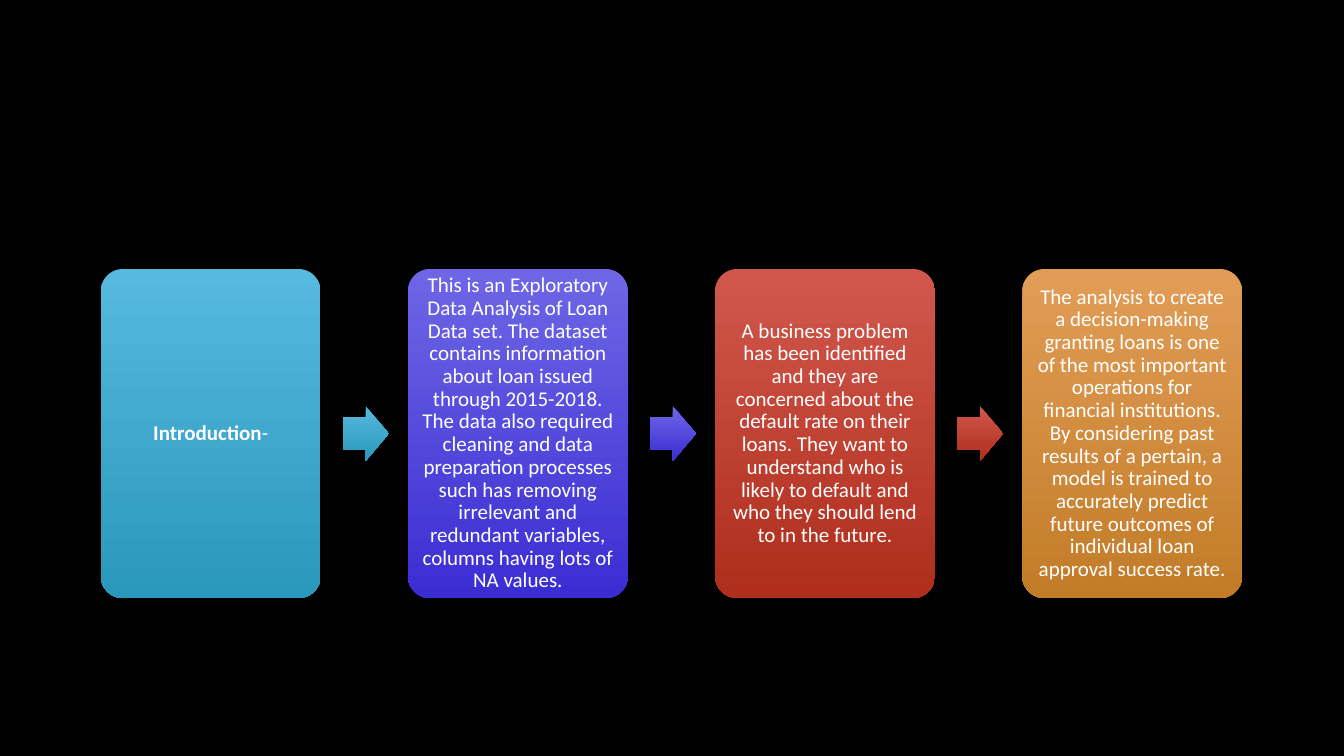
from pptx import Presentation
from pptx.dml.color import RGBColor
from pptx.enum.shapes import MSO_SHAPE
from pptx.enum.text import MSO_ANCHOR, PP_ALIGN
from pptx.util import Pt

CARD = MSO_SHAPE.ROUNDED_RECTANGLE
ARROW = MSO_SHAPE.RIGHT_ARROW
MIDDLE = MSO_ANCHOR.MIDDLE
CENTER = PP_ALIGN.CENTER

LEFT, TOP, WIDTH, HEIGHT = 72, 192.2, 157, 235
PITCH = 219.4
ARROW_W, ARROW_H, ARROW_GAP = 33, 39, 15.8

STEPS = [
    ("56B9DD", "2A98BB", [("Introduction", True), ("-", False)]),
    ("6E66E5", "3A2ED3", [(
        "This is an Exploratory Data Analysis of Loan Data set. The dataset "
        "contains information about loan issued through 2015-2018. The data "
        "also required cleaning and data preparation processes such has "
        "removing irrelevant and redundant variables, columns having lots of "
        "NA values.", False)]),
    ("D1574D", "AF2E1C", [(
        "A business problem has been identified and they are concerned about "
        "the default rate on their loans. They want to understand who is "
        "likely to default and who they should lend to in the future.",
        False)]),
    ("E19D57", "C27C28", [(
        "The analysis to create a decision-making granting loans is one of "
        "the most important operations for financial institutions. By "
        "considering past results of a pertain, a model is trained to "
        "accurately predict future outcomes of individual loan approval "
        "success rate.", False)]),
]


def color(code):
    return RGBColor.from_string(code)


def write(para, text, size=15, bold=False, font="Calibri", ink="FFFFFF"):
    run = para.add_run()
    run.text = text
    run.font.name = font
    run.font.size = Pt(size)
    run.font.bold = bold
    run.font.color.rgb = color(ink)


class Deck:
    def __init__(self, slide, back="000000", inset=4.5):
        self.slide = slide
        self.inset = Pt(inset)
        fill = slide.background.fill
        fill.solid()
        fill.fore_color.rgb = color(back)

    def shape(self, kind, x, y, w, h, shades, adjust):
        """Add a borderless shape that shades from top to bottom."""
        item = self.slide.shapes.add_shape(kind, Pt(x), Pt(y), Pt(w), Pt(h))
        for i, value in enumerate(adjust):
            item.adjustments[i] = value
        item.shadow.inherit = False
        item.line.fill.background()
        item.fill.gradient()
        item.fill.gradient_angle = 270
        for stop, shade in zip(item.fill.gradient_stops, shades):
            stop.color.rgb = color(shade)
        return item

    def card(self, x, shades, runs):
        item = self.shape(CARD, x, TOP, WIDTH, HEIGHT, shades, [0.1])
        frame = item.text_frame
        frame.word_wrap = True
        frame.vertical_anchor = MIDDLE
        frame.margin_left = frame.margin_right = self.inset
        frame.margin_top = frame.margin_bottom = self.inset
        para = frame.paragraphs[0]
        para.alignment = CENTER
        para.line_spacing = 0.9
        para.space_after = Pt(5.25)
        for text, bold in runs:
            write(para, text, bold=bold)

    def arrow(self, x, shades):
        y = TOP + (HEIGHT - ARROW_H) / 2
        self.shape(ARROW, x, y, ARROW_W, ARROW_H, shades, [0.6, 0.5])


def main():
    prs = Presentation()
    prs.slide_width, prs.slide_height = Pt(960), Pt(540)
    deck = Deck(prs.slides.add_slide(prs.slide_layouts[6]))
    for i, (light, dark, runs) in enumerate(STEPS):
        x = LEFT + i * PITCH
        deck.card(x, (light, dark), runs)
        if i < len(STEPS) - 1:
            deck.arrow(x + WIDTH + ARROW_GAP, (light, dark))
    prs.save("out.pptx")


if __name__ == "__main__":
    main()
